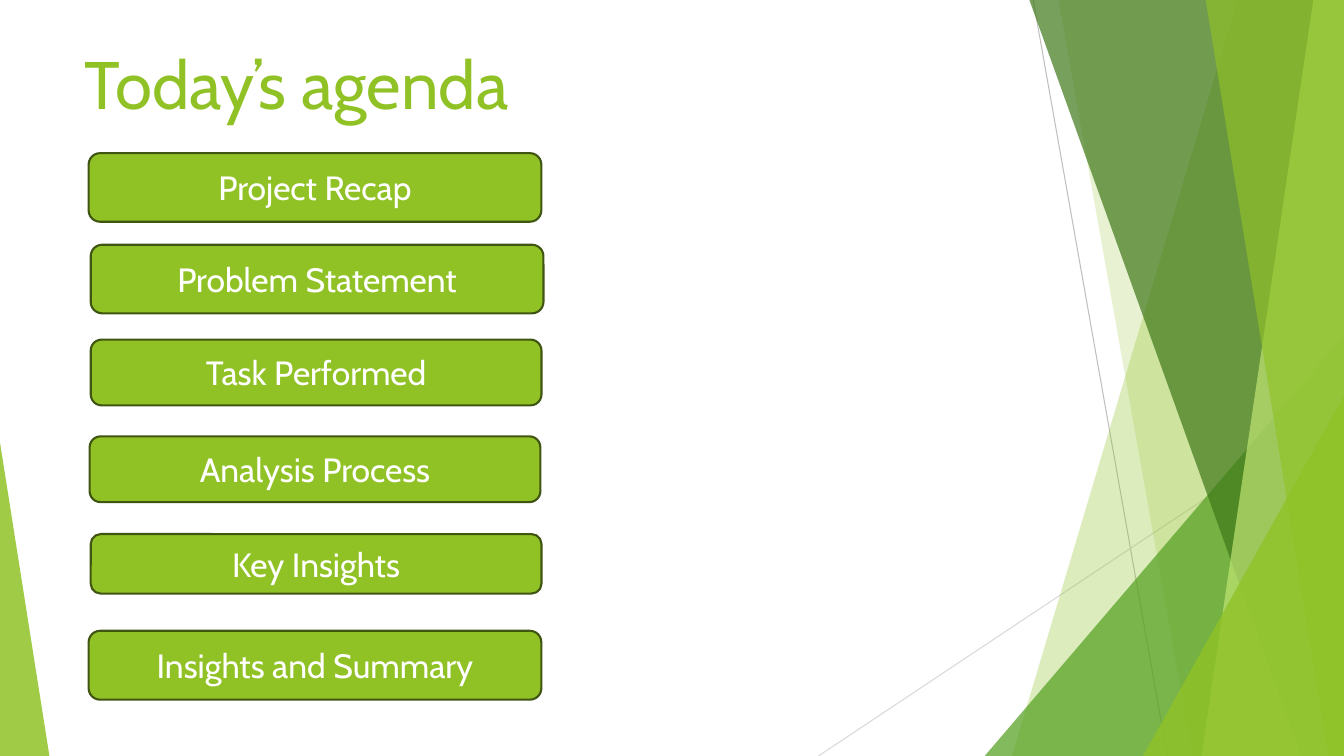
from pptx import Presentation
from pptx.dml.color import RGBColor
from pptx.enum import shapes, text
from pptx.oxml.ns import qn
from pptx.util import Pt
from lxml import etree

W, H = 960, 540
TOP = -0.6
FONT = "Cabin"
GREEN, DARK, WHITE = "90C226", "3F5511", "FFFFFF"

TITLE = ("Today’s agenda", 53.3, 26.6, 360.7, 77)
AGENDA = [
    ("Project Recap", 63.3, 109.4, 323.4, 49),
    ("Problem Statement", 64.8, 174.8, 323.4, 49),
    ("Task Performed", 64.8, 242.6, 322, 47),
    ("Analysis Process", 64, 311.7, 322, 47),
    ("Key Insights", 64.8, 381.5, 322, 42.5),
    ("Insights and Summary", 63.3, 450.6, 323.4, 49.2),
]
LINES = [(738, 0, 833.8, H, "BFBFBF"), (W, 290.2, 584.6, H, "D9D9D9")]
FACETS = [
    ("band", 884.2, 722.9, GREEN, 30),
    ("band", 756, 851.8, GREEN, 20),
    ("triangle", (703.4, 239.8, W, 1), "54A021", 72),
    ("band", 735.1, 929.5, "3F7819", 70),
    ("band", 938.2, 858.2, "C0E474", 70),
    ("band", 861.1, 949, GREEN, 65),
    ("triangle", (816.5, 283, W, 1), GREEN, 80),
    ("triangle", (0, 316.1, 35.3, 0), GREEN, 85),
]


def color(value):
    return RGBColor.from_string(value)


def paint(sp, fill, alpha=100):
    sp.shadow.inherit = False
    sp.fill.solid()
    sp.fill.fore_color.rgb = color(fill)
    if alpha < 100:
        clr = sp._element.spPr.find(qn("a:solidFill"))[0]
        etree.SubElement(clr, qn("a:alpha")).set("val", str(alpha * 1000))


def style(tf, size, value):
    r = tf.paragraphs[0].runs[0]
    r.font.name = FONT
    r.font.size = Pt(size)
    r.font.color.rgb = color(value)


def band(s, top_x, bottom_x):
    fb = s.shapes.build_freeform(Pt(top_x), Pt(TOP))
    corners = [(W, TOP), (W, H), (bottom_x, H)]
    fb.add_line_segments([(Pt(x), Pt(y)) for x, y in corners])
    return fb.convert_to_shape()


def triangle(s, left, top, right, apex):
    sp = s.shapes.add_shape(shapes.MSO_SHAPE.ISOSCELES_TRIANGLE,
                            Pt(left), Pt(top), Pt(right - left), Pt(H - top))
    sp.adjustments[0] = apex
    return sp


def add_backdrop(s):
    for x1, y1, x2, y2, value in LINES:
        line = s.shapes.add_connector(shapes.MSO_CONNECTOR.STRAIGHT,
                                      Pt(x1), Pt(y1), Pt(x2), Pt(y2))
        line.line.color.rgb = color(value)
        line.line.width = Pt(0.75)
        etree.SubElement(line._element.spPr, qn("a:effectLst"))
    for kind, *place, fill, alpha in FACETS:
        sp = band(s, *place) if kind == "band" else triangle(s, *place[0])
        paint(sp, fill, alpha)
        sp.line.fill.background()


def add_title(s):
    label, *box = TITLE
    sp = s.shapes.title
    sp.left, sp.top, sp.width, sp.height = map(Pt, box)
    tf = sp.text_frame
    tf.text = label
    tf.word_wrap = True
    tf.vertical_anchor = text.MSO_ANCHOR.TOP
    tf.paragraphs[0].alignment = text.PP_ALIGN.LEFT
    style(tf, 48, GREEN)


def add_agenda(s):
    for label, *box in AGENDA:
        sp = s.shapes.add_shape(shapes.MSO_SHAPE.ROUNDED_RECTANGLE, *map(Pt, box))
        paint(sp, GREEN)
        sp.line.color.rgb = color(DARK)
        sp.line.width = Pt(1.5)
        tf = sp.text_frame
        tf.text = label
        tf.vertical_anchor = text.MSO_ANCHOR.MIDDLE
        tf.paragraphs[0].alignment = text.PP_ALIGN.CENTER
        style(tf, 24, WHITE)


def main():
    prs = Presentation()
    prs.slide_width, prs.slide_height = Pt(W), Pt(H)
    s = prs.slides.add_slide(prs.slide_layouts[5])
    add_backdrop(s)
    add_title(s)
    add_agenda(s)
    prs.save("out.pptx")


if __name__ == "__main__":
    main()
